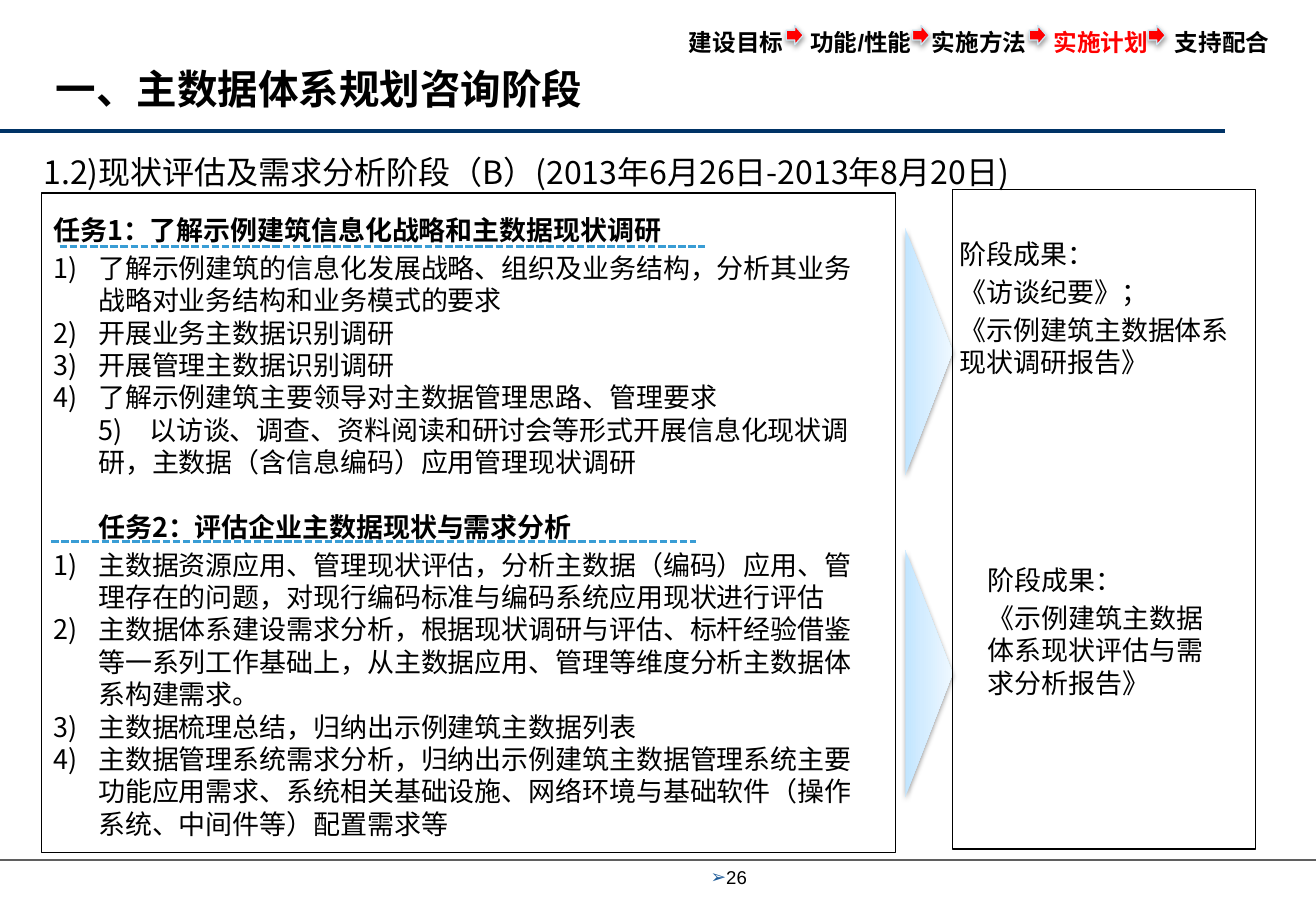
from dataclasses import dataclass

from pptx import Presentation
from pptx.dml.color import RGBColor
from pptx.enum.dml import MSO_LINE
from pptx.enum.shapes import MSO_CONNECTOR, MSO_SHAPE
from pptx.enum.text import MSO_ANCHOR, PP_ALIGN
from pptx.oxml import parse_xml
from pptx.oxml.ns import nsdecls, qn
from pptx.util import Inches, Pt

COLS, ROWS = 108.3, 75
UNIT = Inches(0.1)  # one column or row of the slide grid


@dataclass(frozen=True)
class Theme:
    cjk: str = "Noto Sans CJK SC"
    latin: str = "Arial"
    black: str = "000000"
    white: str = "FFFFFF"
    red: str = "FF0000"
    navy: str = "003366"
    grey: str = "5F5F5F"
    dash: str = "399DD5"
    pale: str = "D0E6F1"
    bullet: str = "1F5C99"
    gradient: tuple = ((0, "C1E5FF"), (35, "D3ECFF"), (100, "EEF8FF"))
    title: float = 24
    subtitle: float = 19
    body: float = 16
    nav: float = 14
    number: float = 11
    body_line: float = 19.2
    body_gap: float = 3.2


T = Theme()

TASK_1 = [
    "了解示例建筑的信息化发展战略、组织及业务结构，分析其业务战略对业务结构和业务模式的要求",
    "开展业务主数据识别调研",
    "开展管理主数据识别调研",
    "了解示例建筑主要领导对主数据管理思路、管理要求",
]
TASK_1_LAST = "5)　以访谈、调查、资料阅读和研讨会等形式开展信息化现状调研，主数据（含信息编码）应用管理现状调研"
TASK_2 = [
    "主数据资源应用、管理现状评估，分析主数据（编码）应用、管理存在的问题，对现行编码标准与编码系统应用现状进行评估",
    "主数据体系建设需求分析，根据现状调研与评估、标杆经验借鉴等一系列工作基础上，从主数据应用、管理等维度分析主数据体系构建需求。",
    "主数据梳理总结，归纳出示例建筑主数据列表",
    "主数据管理系统需求分析，归纳出示例建筑主数据管理系统主要功能应用需求、系统相关基础设施、网络环境与基础软件（操作系统、中间件等）配置需求等",
]
RESULTS_1 = ["阶段成果：", "《访谈纪要》；", "《示例建筑主数据体系现状调研报告》"]
RESULTS_2 = ["阶段成果：", "《示例建筑主数据体系现状评估与需求分析报告》"]
NAV = ["建设目标", "功能/性能", "实施方法", "实施计划", "支持配合"]
NAV_TABS = [9.1, 19.7, 28.9, 37.9]
NAV_ARROWS = [64.7, 75.1, 84.7, 94.5]


def grid(*cells):
    return [round(c * UNIT) for c in cells]


def rgb(color):
    return RGBColor.from_string(color)


def write(tf, text, size=T.body, font=T.cjk, color=T.black, bold=False, highlight=None,
          left=0, hang=0, before=0, after=0, line=None, tabs=(), bullet=None):
    """Add a paragraph; the highlight part of the text turns red."""
    p = tf.paragraphs[0]
    if p.runs:
        p = tf.add_paragraph()
    p.alignment = PP_ALIGN.LEFT
    p.space_before, p.space_after = Pt(before), Pt(after)
    if line:
        p.line_spacing = line
    pPr = p._p.get_or_add_pPr()
    pPr.set("marL", str(grid(left)[0]))
    pPr.set("indent", str(grid(-hang)[0]))
    if bullet:
        for xml in (f'<a:buClr {nsdecls("a")}><a:srgbClr val="{T.bullet}"/></a:buClr>',
                    f'<a:buFont {nsdecls("a")} typeface="{font}"/>',
                    f'<a:buChar {nsdecls("a")} char="{bullet}"/>'):
            pPr.append(parse_xml(xml))
    if tabs:
        stops = "".join(f'<a:tab pos="{pos}" algn="l"/>' for pos in grid(*tabs))
        pPr.append(parse_xml(f'<a:tabLst {nsdecls("a")}>{stops}</a:tabLst>'))
    for part in text.partition(highlight) if highlight else [text]:
        if part:
            r = p.add_run()
            r.text = part
            r.font.size, r.font.bold, r.font.name = Pt(size), bold, font
            r.font.color.rgb = rgb(T.red if part == highlight else color)
            ea = parse_xml(f'<a:ea {nsdecls("a")} typeface="{T.cjk}"/>')
            r.font._element.find(qn("a:latin")).addnext(ea)


def add_text_frame(slide, *cells, anchor=MSO_ANCHOR.TOP):
    tf = slide.shapes.add_textbox(*grid(*cells)).text_frame
    tf.word_wrap, tf.vertical_anchor = True, anchor
    return tf


def add_shape(slide, kind, *cells, fill=T.white, line=None):
    s = slide.shapes.add_shape(kind, *grid(*cells))
    s.shadow.inherit = False
    s.fill.solid()
    s.fill.fore_color.rgb = rgb(fill)
    if line:
        s.line.color.rgb, s.line.width = rgb(line), Pt(0.75)
    else:
        s.line.fill.background()
    return s


def add_rule(slide, x, y, end, color, width, dash=None):
    """Draw a horizontal line from column x to column end."""
    s = slide.shapes.add_connector(MSO_CONNECTOR.STRAIGHT, *grid(x, y, end, y))
    s.line.color.rgb, s.line.width = rgb(color), Pt(width)
    if dash:
        s.line.dash_style = dash
    s._element.spPr.append(parse_xml(f'<a:effectLst {nsdecls("a")}/>'))


def cast_shadow(s):
    spPr = s._element.spPr
    spPr.replace(spPr.find(qn("a:effectLst")), parse_xml(
        f'<a:effectLst {nsdecls("a")}><a:outerShdw blurRad="{Pt(3.1)}" dist="{Pt(1.6)}" '
        'dir="5400000" rotWithShape="0"><a:srgbClr val="000000"><a:alpha val="38000"/>'
        '</a:srgbClr></a:outerShdw></a:effectLst>'))


def add_pointer(slide, y):
    """Add the shaded triangle that leads from a task to its results."""
    s = add_shape(slide, MSO_SHAPE.ISOSCELES_TRIANGLE, 66.3, y, 20.3, 3.9)
    s.rotation = 90
    stops = "".join(f'<a:gs pos="{pos * 1000}"><a:srgbClr val="{color}"/></a:gs>'
                    for pos, color in T.gradient)
    spPr = s._element.spPr
    spPr.replace(spPr.find(qn("a:solidFill")), parse_xml(
        f'<a:gradFill {nsdecls("a")} rotWithShape="1"><a:gsLst>{stops}</a:gsLst>'
        '<a:lin ang="16200000" scaled="1"/></a:gradFill>'))
    cast_shadow(s)


def add_title(slide, text):
    s = slide.shapes.title
    s.left, s.top, s.width, s.height = grid(2.3, 3.5, 46.1, 7.6)
    tf = s.text_frame
    tf.margin_left, tf.margin_right = grid(2.3, 0)
    tf.word_wrap, tf.vertical_anchor = False, MSO_ANCHOR.MIDDLE
    write(tf, text, size=T.title, bold=True)


def add_nav(slide):
    tf = add_text_frame(slide, 55.7, 1.1, 51.2, 4.1)
    write(tf, "\t".join(NAV), size=T.nav, font=T.latin, bold=True,
          highlight="实施计划", line=1.3, tabs=NAV_TABS)
    for x in NAV_ARROWS:
        cast_shadow(add_shape(slide, MSO_SHAPE.RIGHT_ARROW, x, 2.1, 1.4, 1.6,
                              fill=T.red, line=T.pale))


def add_tasks(slide):
    tf = add_text_frame(slide, 3.4, 17.1, 69.1, 53.2)
    body = dict(line=Pt(T.body_line))
    head = dict(body, bold=True, after=T.body_gap)

    def write_items(items):
        for n, item in enumerate(items, 1):
            write(tf, f"{n})\t{item}", left=3.7, hang=3.7, **body)

    write(tf, "任务1：了解示例建筑信息化战略和主数据现状调研", **head)
    write_items(TASK_1)
    write(tf, TASK_1_LAST, left=3.7, **body)
    write(tf, "任务2：评估企业主数据现状与需求分析", left=3.7, before=T.body_line, **head)
    write_items(TASK_2)


def add_results(slide, lines, *cells):
    tf = add_text_frame(slide, *cells)
    for text in lines:
        write(tf, text, line=Pt(T.body_line), after=T.body_gap)


def main():
    prs = Presentation()
    prs.slide_width, prs.slide_height = grid(COLS, ROWS)
    slide = prs.slides.add_slide(prs.slide_layouts[5])
    add_rule(slide, 0, 70.8, COLS, T.grey, 1)
    add_rule(slide, 0, 10.8, 100.8, T.navy, 2.25)
    for cells in ((78.4, 15.6, 24.9, 54.3), (3.4, 15.9, 70.3, 54.3)):
        add_shape(slide, MSO_SHAPE.RECTANGLE, *cells, line=T.black)
    tf = add_text_frame(slide, 2.6, 10.2, 94.4, 7.9, anchor=MSO_ANCHOR.MIDDLE)
    write(tf, "1.2)现状评估及需求分析阶段（B）(2013年6月26日-2013年8月20日)", size=T.subtitle)
    add_tasks(slide)
    add_results(slide, RESULTS_1, 78, 19.1, 24.6, 18.2)
    add_results(slide, RESULTS_2, 80.3, 45.9, 21.5, 22.2)
    add_title(slide, "一、主数据体系规划咨询阶段")
    for x, y in ((4.9, 20.3), (4.2, 44.6)):
        add_rule(slide, x, y, x + 53.1, T.dash, 1.5, dash=MSO_LINE.SQUARE_DOT)
    for y in (27, 53.5):
        add_pointer(slide, y)
    add_nav(slide)
    tf = add_text_frame(slide, 57.5, 70.2, 15.8, 4, anchor=MSO_ANCHOR.MIDDLE)
    write(tf, "26", size=T.number, font=T.latin, left=1.2, hang=1.2, bullet="➢")
    prs.save("out.pptx")


if __name__ == "__main__":
    main()
